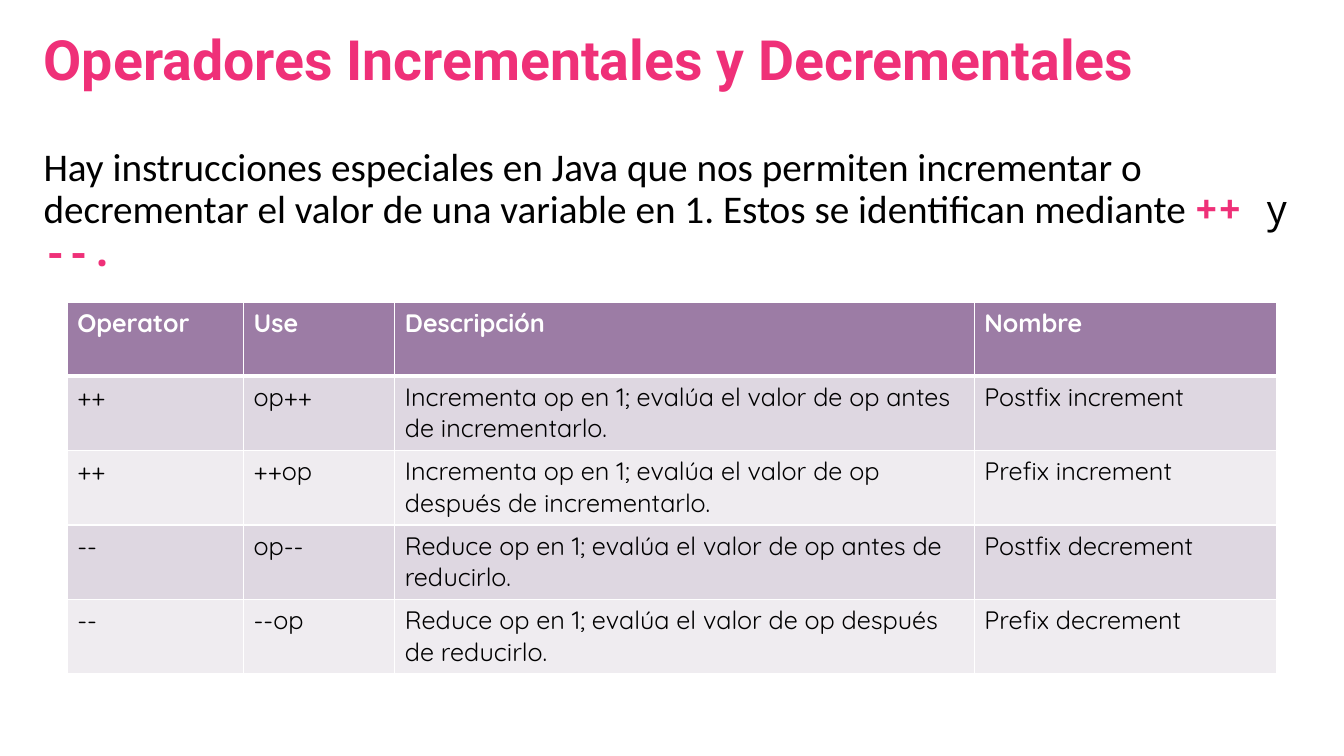
import dataclasses
import typing

import pptx
import pptx.dml.color
import pptx.enum.text
import pptx.oxml
import pptx.oxml.ns
import pptx.util

Pt = pptx.util.Pt
PINK = "EF3078"
BLACK = "000000"
WHITE = "FFFFFF"
HEADER_FILL = "9C7CA5"
BAND_FILLS = ("DED7E1", "EFECF0")
COLUMN_WIDTHS = (126, 108, 414, 216)
HEADER_HEIGHT = 52.5
ROW_HEIGHT = 53.25
MARGIN = 24
TEXT_WIDTH = 912


@dataclasses.dataclass(frozen=True)
class Operator:
    symbol: str
    use: str
    description: str
    name: str


HEADINGS = Operator("Operator", "Use", "Descripción", "Nombre")
OPERATORS = (
    Operator("++", "op++", "Incrementa op en 1; evalúa el valor de op antes de incrementarlo.",
             "Postfix increment"),
    Operator("++", "++op", "Incrementa op en 1; evalúa el valor de op después de incrementarlo.",
             "Prefix increment"),
    Operator("--", "op--", "Reduce op en 1; evalúa el valor de op antes de reducirlo.",
             "Postfix decrement"),
    Operator("--", "--op", "Reduce op en 1; evalúa el valor de op después de reducirlo.",
             "Prefix decrement"),
)


def color(value: str) -> pptx.dml.color.RGBColor:
    return pptx.dml.color.RGBColor.from_string(value)


def add_text(para: typing.Any, text: str, *, font: str, size: float,
             fill: str = BLACK, bold: bool = False) -> None:
    span = para.add_run()
    span.text = text
    span.font.name = font
    span.font.size = Pt(size)
    span.font.bold = bold
    span.font.color.rgb = color(fill)


def prepare_box(box: typing.Any, top: float, height: float, anchor: typing.Any) -> typing.Any:
    box.left, box.top = Pt(MARGIN), Pt(top)
    box.width, box.height = Pt(TEXT_WIDTH), Pt(height)
    frame = box.text_frame
    frame.word_wrap = True
    frame.auto_size = pptx.enum.text.MSO_AUTO_SIZE.NONE
    frame.vertical_anchor = anchor
    para = frame.paragraphs[0]
    para.alignment = pptx.enum.text.PP_ALIGN.LEFT
    para.line_spacing = 0.9
    para.space_before = Pt(0)
    return para


def set_borders(cell: typing.Any, bottom: float, top: float) -> None:
    properties = cell._tc.get_or_add_tcPr()
    for side, width in (("L", 1), ("R", 1), ("T", top), ("B", bottom)):
        properties.append(pptx.oxml.parse_xml(
            f'<a:ln{side} {pptx.oxml.ns.nsdecls("a")} w="{Pt(width)}">'
            f'<a:solidFill><a:srgbClr val="{WHITE}"/></a:solidFill></a:ln{side}>'))


def add_operator_table(page: typing.Any) -> None:
    rows = (HEADINGS, *OPERATORS)
    height = HEADER_HEIGHT + ROW_HEIGHT * len(OPERATORS)
    table = page.shapes.add_table(len(rows), len(COLUMN_WIDTHS), Pt(48), Pt(216),
                                  Pt(sum(COLUMN_WIDTHS)), Pt(height)).table
    for column, width in zip(table.columns, COLUMN_WIDTHS):
        column.width = Pt(width)
    for index, operator in enumerate(rows):
        header = index == 0
        table.rows[index].height = Pt(HEADER_HEIGHT if header else ROW_HEIGHT)
        for cell, text in zip(table.rows[index].cells, dataclasses.astuple(operator)):
            set_borders(cell, bottom=3 if header else 1, top=3 if index == 1 else 1)
            cell.fill.solid()
            cell.fill.fore_color.rgb = color(HEADER_FILL if header else BAND_FILLS[(index - 1) % 2])
            add_text(cell.text_frame.paragraphs[0], text, font="Quicksand", size=18,
                     fill=WHITE if header else BLACK, bold=header)


def main() -> None:
    deck = pptx.Presentation()
    deck.slide_width, deck.slide_height = Pt(960), Pt(540)
    page = deck.slides.add_slide(deck.slide_layouts[5])

    title = prepare_box(page.shapes.title, 18, 54, pptx.enum.text.MSO_ANCHOR.MIDDLE)
    add_text(title, "Operadores Incrementales y Decrementales",
             font="Roboto", size=39.6, fill=PINK, bold=True)

    box = page.shapes.add_textbox(0, 0, 0, 0)
    intro = prepare_box(box, 102, 120, pptx.enum.text.MSO_ANCHOR.TOP)
    add_text(intro, "Hay instrucciones especiales en Java que nos permiten incrementar o "
             "decrementar el valor de una variable en 1. Estos se identifican mediante ",
             font="Calibri", size=28)
    for text, fill, bold in (("++ ", PINK, True), ("y", BLACK, False), (" --.", PINK, True)):
        add_text(intro, text, font="Noto Sans Mono", size=28, fill=fill, bold=bold)

    add_operator_table(page)
    deck.save("out.pptx")


if __name__ == "__main__":
    main()
